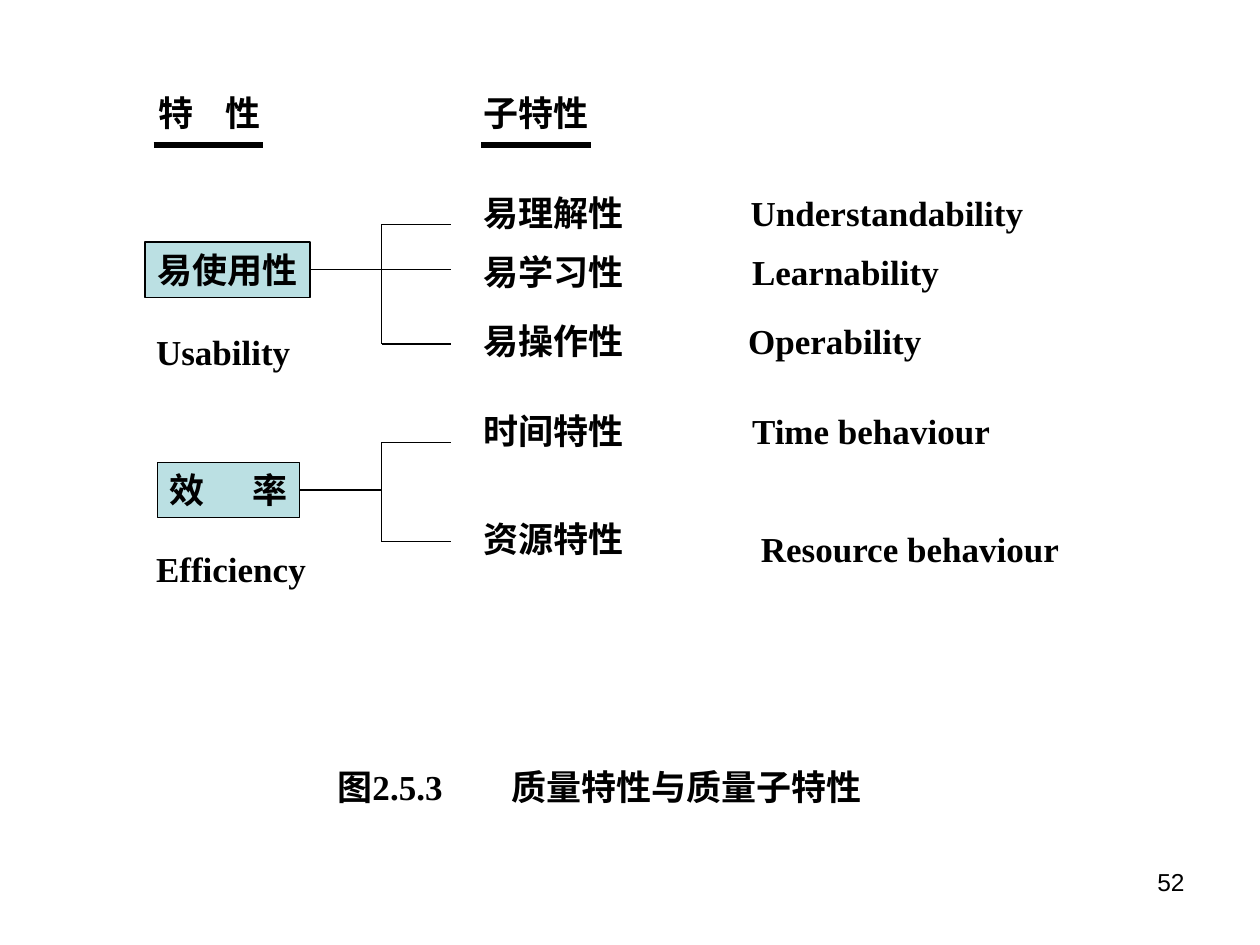
from lxml import etree
from pptx import Presentation
from pptx.dml.color import RGBColor
from pptx.enum.shapes import MSO_CONNECTOR, MSO_SHAPE
from pptx.enum.text import MSO_ANCHOR, MSO_AUTO_SIZE, PP_ALIGN
from pptx.oxml.ns import qn
from pptx.util import Inches, Pt

STRAIGHT = MSO_CONNECTOR.STRAIGHT
RECT = MSO_SHAPE.RECTANGLE
LEFT, RIGHT = PP_ALIGN.LEFT, PP_ALIGN.RIGHT
TOP, FIXED = MSO_ANCHOR.TOP, MSO_AUTO_SIZE.NONE
COLORS = {"ink": "000000", "box": "BBE0E3"}
INK = RGBColor.from_string(COLORS["ink"])
ROW_H = 0.44
SUB_X = 3.74
SPINE_X, BRANCH_END = 3.03, 3.58

prs = Presentation()
prs.slide_width, prs.slide_height = Inches(10), Inches(7.5)
s = prs.slides.add_slide(prs.slide_layouts[6])


def add_label(text, x, y, w, tab=None, boxed=False):
    """Add a bold one-line label; tab is the stop, in inches, for a tab in text."""
    box = (Inches(x), Inches(y), Inches(w), Inches(ROW_H))
    if boxed:
        sp = s.shapes.add_shape(RECT, *box)
        sp.shadow.inherit = False
        sp.fill.solid()
        sp.fill.fore_color.rgb = RGBColor.from_string(COLORS["box"])
        sp.line.color.rgb = INK
        sp.line.width = Pt(0.75)
    else:
        sp = s.shapes.add_textbox(*box)
    tf = sp.text_frame
    tf.word_wrap = True
    tf.auto_size = FIXED
    tf.vertical_anchor = TOP
    tf.margin_right = 0  # spare width keeps the label on one line
    p = tf.paragraphs[0]
    p.alignment = LEFT
    if tab:
        stops = etree.SubElement(p._p.get_or_add_pPr(), qn("a:tabLst"))
        etree.SubElement(stops, qn("a:tab"), pos=str(Inches(tab)), algn="l")
    r = p.add_run()
    r.text = text
    r.font.name, r.font.size, r.font.bold = "Times New Roman", Pt(20), True
    r.font.color.rgb = INK
    return sp


def add_line(x1, y1, x2, y2, width=0.75):
    line = s.shapes.add_connector(
        STRAIGHT, Inches(x1), Inches(y1), Inches(x2), Inches(y2))
    line.line.color.rgb = INK
    line.line.width = Pt(width)
    etree.SubElement(line._element.spPr, qn("a:effectLst"))
    return line


# Column headings, underlined
add_label("特\t性", 1.16, 0.68, 1.01, tab=0.53)
add_label("子特性", SUB_X, 0.68, 1.03)
for x in (1.22, 3.82):
    add_line(x, 1.15, x + 0.87, 1.15, width=3)

# Each characteristic: box (text, x, y, width, tab), English name (text, y, width),
# stem end, outer branch heights
characteristics = [
    (("易使用性", 1.15, 1.92, 1.31, None), ("Usability", 2.57, 1.26),
     BRANCH_END, (1.78, 2.73)),
    (("效\t率", 1.25, 3.67, 1.13, 0.66), ("Efficiency", 4.3, 1.39),
     SPINE_X, (3.51, 4.3)),
]
for (text, x, y, w, tab), (english, en_y, en_w), stem_end, branches in characteristics:
    box = add_label(text, x, y, w, tab, boxed=True)
    add_label(english, 1.14, en_y, en_w)
    middle = y + ROW_H / 2
    stem = add_line(x + w, middle, stem_end, middle)
    stem.begin_connect(box, 3)
    add_line(SPINE_X, branches[0], SPINE_X, branches[1])
    for branch_y in branches:
        add_line(SPINE_X, branch_y, BRANCH_END, branch_y)

# Sub-characteristics: Chinese, y, English, x, y, width
subs = [
    ("易理解性", 1.47, "Understandability", 5.86, 1.47, 2.36),
    ("易学习性", 1.94, "Learnability", 5.87, 1.94, 1.68),
    ("易操作性", 2.49, "Operability", 5.84, 2.49, 1.57),
    ("时间特性", 3.2, "Time behaviour", 5.87, 3.2, 2.09),
    ("资源特性", 4.06, "Resource behaviour", 5.94, 4.14, 2.57),
]
for chinese, y, english, en_x, en_y, en_w in subs:
    add_label(chinese, SUB_X, y, 1.31)
    add_label(english, en_x, en_y, en_w)

add_label("图2.5.3\t质量特性与质量子特性", 2.58, 6.03, 4.37, tab=1.38)

# Page number
tf = s.shapes.add_textbox(Inches(7.17), Inches(6.83), Inches(2.33), Inches(0.52)).text_frame
tf.word_wrap = True
p = tf.paragraphs[0]
p.alignment = RIGHT
r = p.add_run()
r.text = "52"
r.font.name, r.font.size = "Arial", Pt(14)
r.font.color.rgb = INK

prs.save("out.pptx")
